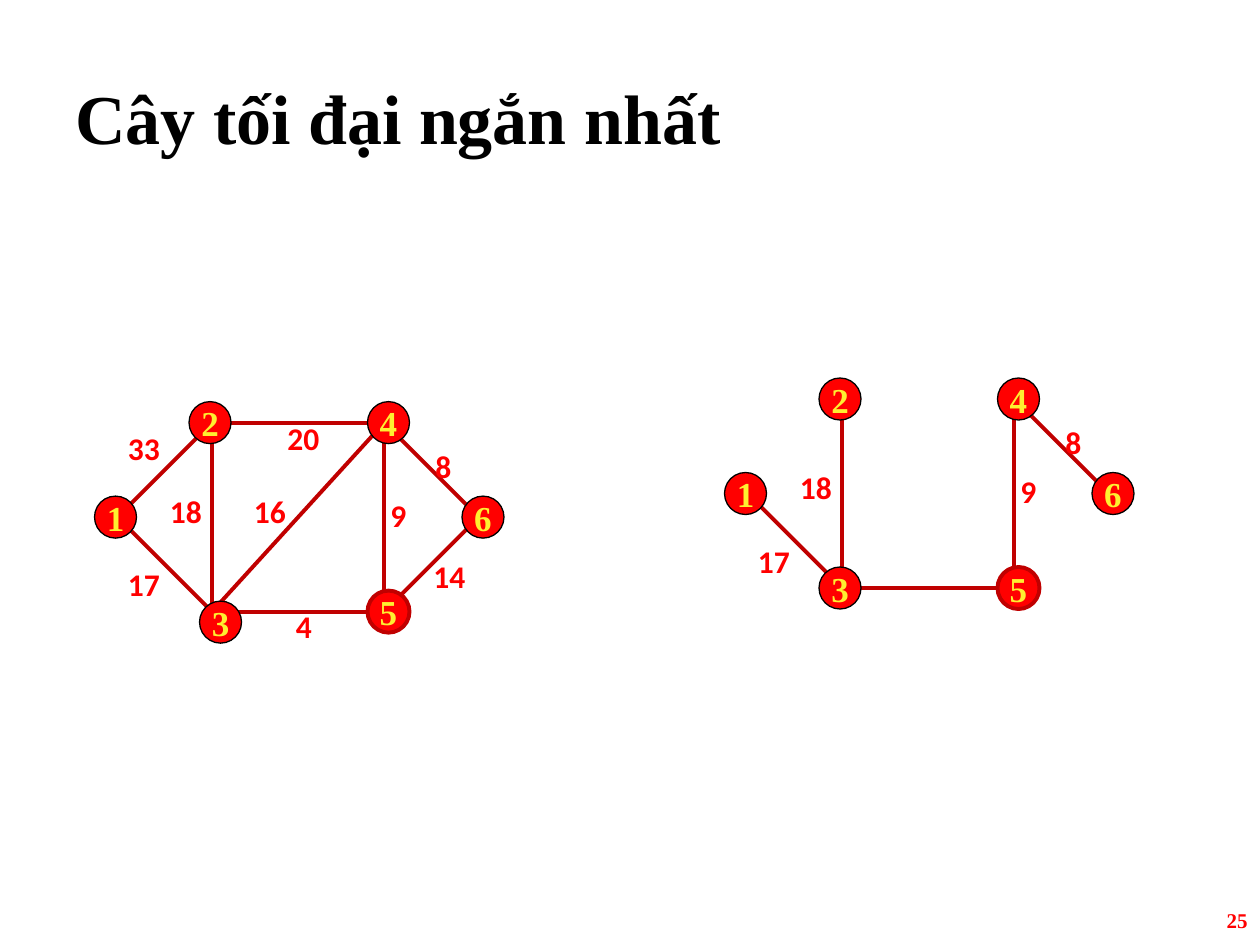
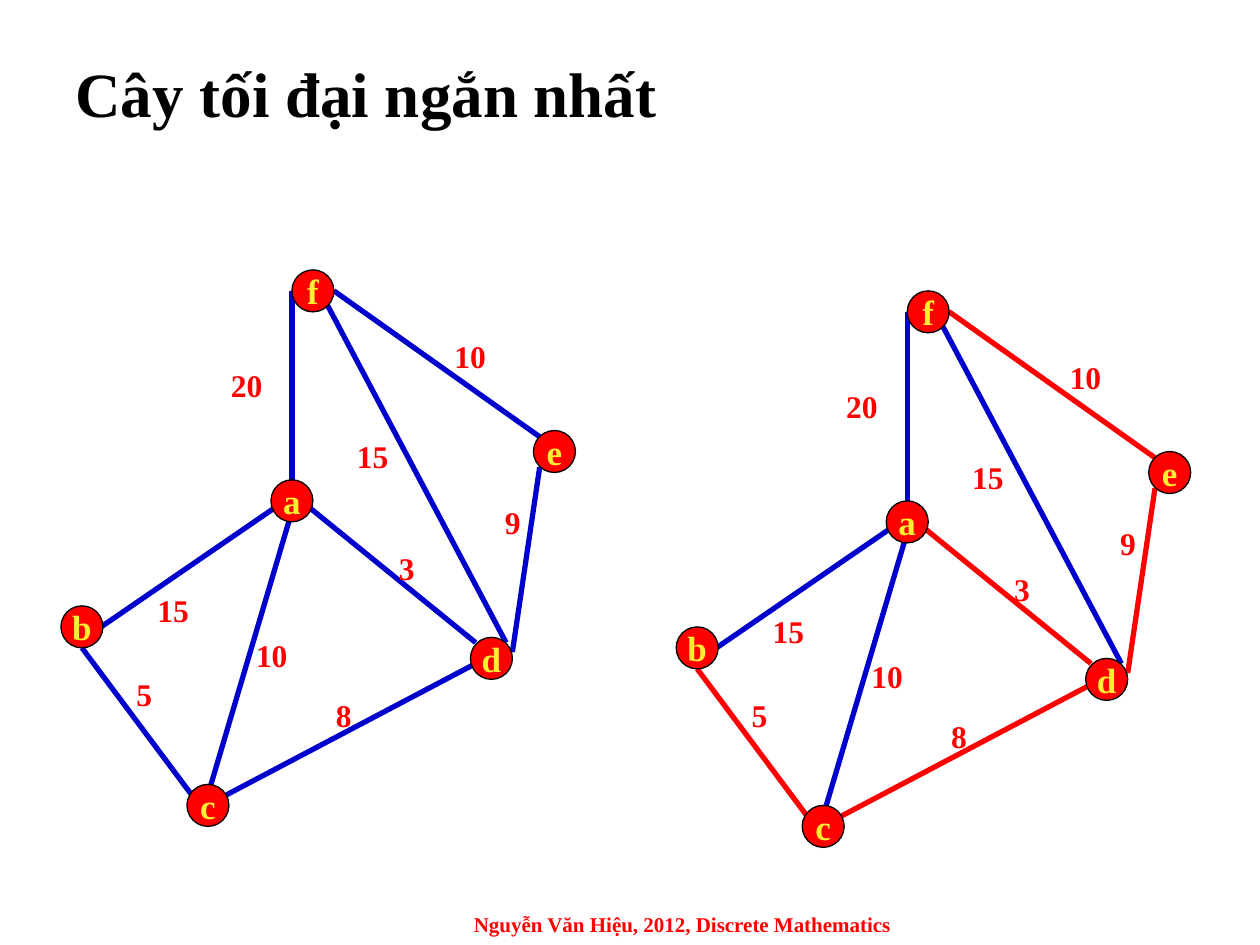
import pptx
import pptx.util
import pptx.dml.color
import pptx.enum.shapes
import pptx.enum.text
import pptx.oxml.ns
import lxml.etree

SERIF, SANS = "Times New Roman", "Calibri"
BLACK, RED, DARK_RED, BLUE, YELLOW = "000000", "FF0000", "C00000", "0000CC", "FEEF30"
TITLE = "Cây tối đại ngắn nhất"
LEFT, CENTER, RIGHT = (pptx.enum.text.PP_ALIGN.LEFT, pptx.enum.text.PP_ALIGN.CENTER,
                       pptx.enum.text.PP_ALIGN.RIGHT)
MIDDLE, TOP = pptx.enum.text.MSO_ANCHOR.MIDDLE, pptx.enum.text.MSO_ANCHOR.TOP

deck = pptx.Presentation()
deck.slide_width = pptx.util.Inches(10)
deck.slide_height = pptx.util.Inches(7.5)
CELL = deck.slide_width / 120  # the grid has 120 columns and 90 rows
NODE = 4                       # node diameter in cells


def cells(*values):
    return [round(value * CELL) for value in values]


def write(shape, text, size, colour, font=SERIF, align=LEFT, anchor=MIDDLE):
    frame = shape.text_frame
    frame.word_wrap = True
    frame.vertical_anchor = anchor
    frame.text = text
    paragraph = frame.paragraphs[0]
    paragraph.alignment = align
    style = paragraph.runs[0].font
    style.name, style.size, style.bold = font, pptx.util.Pt(size), True
    style.color.rgb = pptx.dml.color.RGBColor.from_string(colour)


# Weighted graph with numbered nodes, in cells from node 1
numbered_nodes = {"1": (0, 0), "2": (9, -9), "3": (9, 9),
                  "4": (26, -9), "5": (26, 9), "6": (35, 0)}
shifted_nodes = {**numbered_nodes, "3": (10, 10)}
joints = {"1": (0.2, 0), "2": (9.2, -9), "3": (9.2, 9),
          "4": (25.6, -9), "5": (25.6, 9), "6": (34.6, 0)}
numbered_weights = {"12": ("33", 0, -9), "13": ("17", 0, 4), "23": ("18", 4, -3),
                    "46": ("8", 29.3, -7.3), "56": ("14", 29.1, 3.2),
                    "45": ("9", 25, -2.6), "24": ("20", 15.2, -9.9),
                    "35": ("4", 16, 8), "34": ("16", 12, -3)}
numbered_edges = {pair: (joints[pair[0]], joints[pair[1]]) for pair in numbered_weights}
numbered_tree = ["13", "23", "46", "45", "35"]
tree_edges = {pair: numbered_edges[pair] for pair in numbered_tree}
tree_weights = {pair: numbered_weights[pair] for pair in numbered_tree if pair != "35"}

# Weighted graph with lettered nodes, in cells from node a
lettered_nodes = {"b": (-20, 12), "a": (0, 0), "f": (2, -20),
                  "e": (25, -4.7), "d": (19, 15), "c": (-8, 29)}
lettered_edges = {"ad": ((1.5, 0.5), (17.5, 13.5)), "bc": ((-20, 14), (-9.4, 28.2)),
                  "fe": ((4, -20), (23.6, -6.1)), "fa": ((0, -20), (0, -2)),
                  "ed": ((23.6, -3.2), (21, 14.4)), "fd": ((3.4, -18.6), (20.4, 13.5)),
                  "ab": ((-1.4, 0.5), (-18.6, 12.3)), "ac": ((0, 1), (-8, 28)),
                  "cd": ((-6.6, 28.2), (17.5, 15.5))}
lettered_weights = {"ab": ("15", -14, 8), "bc": ("5", -16, 16), "ac": ("10", -4.6, 12.3),
                    "ad": ("3", 9, 4), "cd": ("8", 3, 18), "fa": ("20", -7, -13.4),
                    "fd": ("15", 5, -6.7), "fe": ("10", 14.3, -16.2),
                    "ed": ("9", 19.1, -0.4)}
lettered_tree = ["ad", "bc", "fe", "ed", "cd"]

# Per slide: title size and height, footer, edge and weight style, and graphs given as
# origin, nodes, edges, weights and highlighted edges
slides = [
    dict(title_size=40, title_height=15, footer=("25", 92, 85.2, 28, 4.8, RIGHT),
         edge_colour=DARK_RED, edge_width=2.25, ovals=True, outlined="5",
         weight_font=SANS, weight_box=(6, 4.5),
         graphs=[((71, 47), numbered_nodes, tree_edges, tree_weights, []),
                 ((11, 49.25), shifted_nodes, numbered_edges, numbered_weights, [])]),
    dict(title_size=36, title_height=10.4,
         footer=("Nguyễn Văn Hiệu, 2012, Discrete Mathematics", 40, 86, 50, 4, CENTER),
         edge_colour=BLUE, edge_width=3, ovals=False, outlined="",
         weight_font=SERIF, weight_box=(16, 4.8),
         graphs=[((27.8, 47.7), lettered_nodes, lettered_edges, lettered_weights, []),
                 ((86.4, 49.7), lettered_nodes, lettered_edges, lettered_weights,
                  lettered_tree)]),
]

for look in slides:
    slide = deck.slides.add_slide(deck.slide_layouts[6])

    # Title and footer
    title = slide.shapes.add_textbox(*cells(6, 3.6, 108, look["title_height"]))
    write(title, TITLE, look["title_size"], BLACK)
    footer_text, *footer_place, footer_align = look["footer"]
    footer = slide.shapes.add_textbox(*cells(*footer_place))
    write(footer, footer_text, 12, RED, align=footer_align)

    for (column, row), nodes, edges, weights, highlighted in look["graphs"]:
        # Edges
        for pair, ((x1, y1), (x2, y2)) in edges.items():
            edge = slide.shapes.add_connector(
                pptx.enum.shapes.MSO_CONNECTOR.STRAIGHT,
                *cells(column + x1, row + y1, column + x2, row + y2))
            edge_colour = RED if pair in highlighted else look["edge_colour"]
            edge.line.color.rgb = pptx.dml.color.RGBColor.from_string(edge_colour)
            edge.line.width = pptx.util.Pt(look["edge_width"])
            if look["ovals"]:
                outline = edge.line._get_or_add_ln()
                for end in ("a:headEnd", "a:tailEnd"):
                    lxml.etree.SubElement(outline, pptx.oxml.ns.qn(end), type="oval")
            lxml.etree.SubElement(edge._element.spPr, pptx.oxml.ns.qn("a:effectLst"))

        # Weights
        for weight, x, y in weights.values():
            label = slide.shapes.add_textbox(*cells(column + x, row + y, *look["weight_box"]))
            write(label, weight, 18, RED, look["weight_font"], anchor=TOP)

        # Nodes
        for letter, (x, y) in nodes.items():
            node = slide.shapes.add_shape(
                pptx.enum.shapes.MSO_SHAPE.OVAL,
                *cells(column + x - NODE / 2, row + y - NODE / 2, NODE, NODE))
            node.shadow.inherit = False
            node.fill.solid()
            node.fill.fore_color.rgb = pptx.dml.color.RGBColor.from_string(RED)
            outlined = letter == look["outlined"]
            node.line.color.rgb = pptx.dml.color.RGBColor.from_string(
                DARK_RED if outlined else BLACK)
            node.line.width = pptx.util.Pt(2.25 if outlined else 0.75)
            frame = node.text_frame
            frame.margin_left = frame.margin_right = frame.margin_top = frame.margin_bottom = 0
            write(node, letter, 20, YELLOW, align=CENTER)

deck.save("out.pptx")
